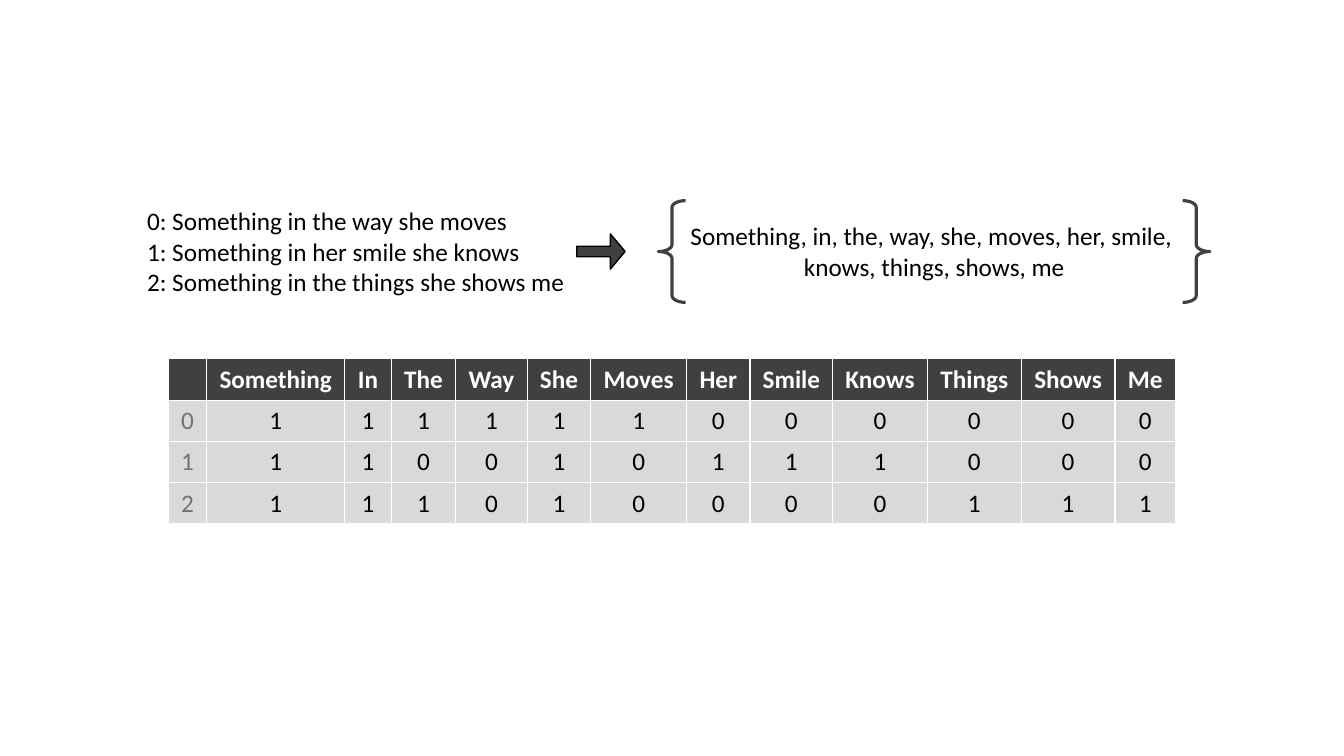
from pptx import Presentation
from pptx.dml.color import RGBColor
from pptx.enum.shapes import MSO_SHAPE
from pptx.enum.text import MSO_ANCHOR, PP_ALIGN
from pptx.util import Inches, Pt

LEFT, CENTER = PP_ALIGN.LEFT, PP_ALIGN.CENTER
MIDDLE = MSO_ANCHOR.MIDDLE
BRACE, ARROW = MSO_SHAPE.LEFT_BRACE, MSO_SHAPE.RIGHT_ARROW

FONT = "Calibri"
DARK, LIGHT, GRAY = "404040", "D9D9D9", "767171"
BLACK, WHITE = "000000", "FFFFFF"

SENTENCES = [
    "Something in the way she moves",
    "Something in her smile she knows",
    "Something in the things she shows me",
]
VOCABULARY_LINES = [
    "Something, in, the, way, she, moves, her, smile, ",
    "knows, things, shows, me",
]
VOCABULARY = "".join(VOCABULARY_LINES).split(", ")
COLUMN_WIDTHS = [0.38, 1.37, 0.46, 0.64, 0.71, 0.63, 0.95,
                 0.63, 0.82, 0.94, 0.93, 0.93, 0.6]
ROW_HEIGHT = 0.41


def color(hex_string):
    """Turn a hex string into a colour."""
    return RGBColor.from_string(hex_string)


def add_run(paragraph, text, hex_color=BLACK, bold=False, align=CENTER):
    """Write one styled run and align its paragraph."""
    paragraph.alignment = align
    run = paragraph.add_run()
    run.text = text
    run.font.name = FONT
    run.font.size = Pt(18)
    run.font.bold = bold
    run.font.color.rgb = color(hex_color)


def add_lines(slide, box, lines, align):
    """Add a text box with one paragraph per line."""
    frame = slide.shapes.add_textbox(*map(Inches, box)).text_frame
    frame.word_wrap = False
    for index, line in enumerate(lines):
        paragraph = frame.add_paragraph() if index else frame.paragraphs[0]
        add_run(paragraph, line, align=align)


def add_outline(slide, kind, box, adjustments, line, weight, fill=None):
    """Add a preset shape with a line and, if given, a fill."""
    shape = slide.shapes.add_shape(kind, *map(Inches, box))
    shape.shadow.inherit = False
    for index, value in enumerate(adjustments):
        shape.adjustments[index] = value
    shape.line.color.rgb = color(line)
    shape.line.width = Pt(weight)
    if fill:
        shape.fill.solid()
        shape.fill.fore_color.rgb = color(fill)
    else:
        shape.fill.background()
    return shape


def fill_cell(cell, text, fill, text_color, bold=False):
    """Fill a table cell and write its centred text."""
    cell.fill.solid()
    cell.fill.fore_color.rgb = color(fill)
    cell.vertical_anchor = MIDDLE
    if text:
        add_run(cell.text_frame.paragraphs[0], text, text_color, bold)


def add_word_table(slide, left, top):
    """Add the table that marks which words each sentence holds."""
    row_count = len(SENTENCES) + 1
    table = slide.shapes.add_table(
        row_count, len(COLUMN_WIDTHS), Inches(left), Inches(top),
        Inches(sum(COLUMN_WIDTHS)), Inches(ROW_HEIGHT * row_count)).table
    for column, width in zip(table.columns, COLUMN_WIDTHS):
        column.width = Inches(width)
    for row in table.rows:
        row.height = Inches(ROW_HEIGHT)

    header = [""] + [word.capitalize() for word in VOCABULARY]
    for column, word in enumerate(header):
        fill_cell(table.cell(0, column), word, DARK, WHITE, bold=True)
    for number, sentence in enumerate(SENTENCES):
        words = sentence.split()
        fill_cell(table.cell(number + 1, 0), str(number), LIGHT, GRAY)
        for column, word in enumerate(VOCABULARY, start=1):
            present = str(int(word in words))
            fill_cell(table.cell(number + 1, column), present, LIGHT, BLACK)


def main():
    """Build the bag-of-words slide."""
    deck = Presentation()
    deck.slide_width, deck.slide_height = Inches(13.33), Inches(7.5)
    slide = deck.slides.add_slide(deck.slide_layouts[6])

    add_word_table(slide, 1.67, 3.56)
    numbered = [f"{number}: {text}" for number, text in enumerate(SENTENCES)]
    add_lines(slide, (1.36, 1.99, 4.39, 1.01), numbered, LEFT)
    add_lines(slide, (6.72, 2.14, 5.09, 0.71), VOCABULARY_LINES, CENTER)
    for left, rotation in ((6.53, 0), (11.73, 180)):
        brace = add_outline(slide, BRACE, (left, 1.99, 0.27, 1.01),
                            (0.25, 0.5), DARK, 2.25)
        brace.rotation = rotation
    add_outline(slide, ARROW, (5.72, 2.32, 0.48, 0.35),
                (0.3, 0.42), BLACK, 1, fill=DARK)

    deck.save("out.pptx")


main()
